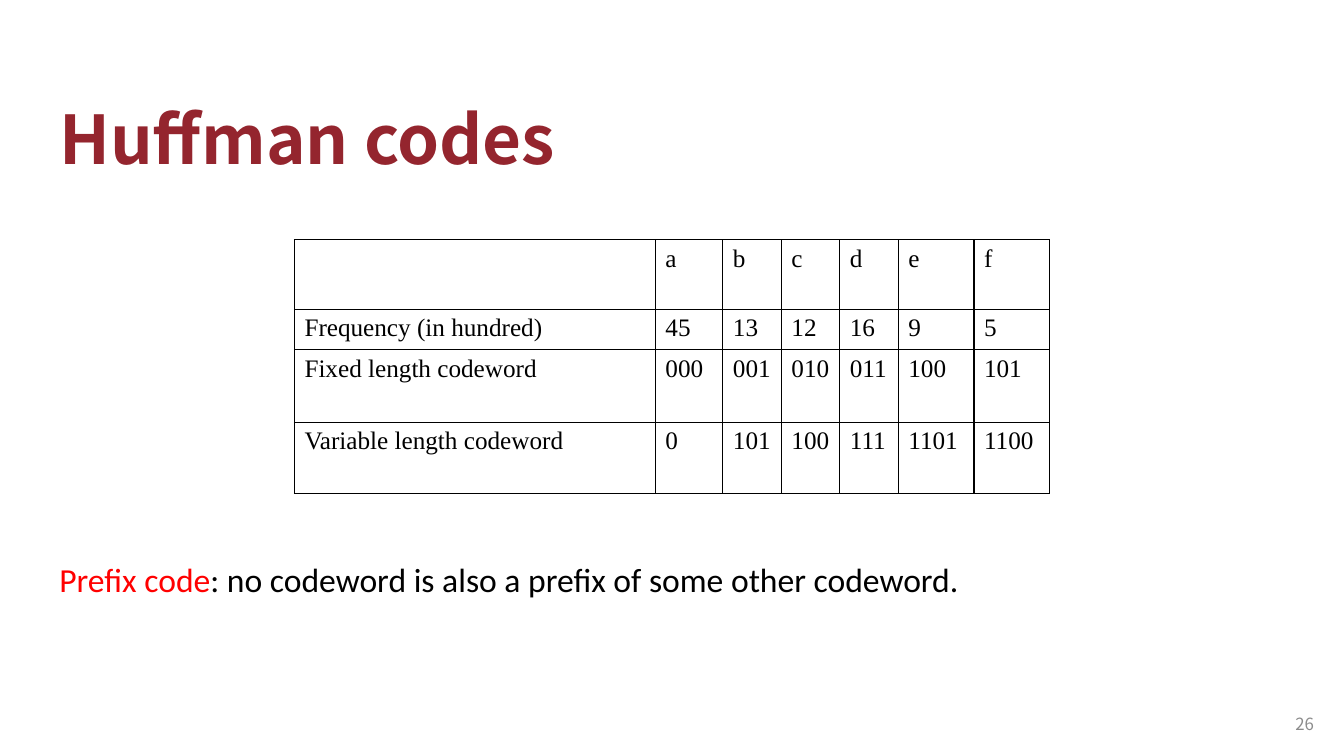
import pptx
import pptx.dml.color
import pptx.enum.text
import pptx.oxml
import pptx.oxml.ns
import pptx.util
from lxml import etree

TITLE = "Huffman codes"
CODES = [
    ("", "a", "b", "c", "d", "e", "f"),
    ("Frequency (in hundred)", "45", "13", "12", "16", "9", "5"),
    ("Fixed length codeword", "000", "001", "010", "011", "100", "101"),
    ("Variable length codeword", "0", "101", "100", "111", "1101", "1100"),
]
DEFINITION = [
    ("Prefix code", "red"),
    (": no codeword is also a prefix of some other codeword.", "black"),
]
PAGE_NUMBER = "26"

COLORS = {"maroon": "94252E", "red": "FF0000", "black": "000000", "gray": "8C8C8C"}
HEADING_FONT, BODY_FONT, TABLE_FONT = "Noto Sans CJK SC", "Calibri", "Times New Roman"
WIDTH, HEIGHT = 13.33, 7.5
LEFT = 0.49
TABLE_LEFT, TABLE_TOP = 2.92, 2.38
COLUMNS = [3.58, 0.67, 0.58, 0.58, 0.58, 0.75, 0.75]
ROWS = [0.69, 0.4, 0.72, 0.71]

ALIGN = pptx.enum.text.PP_ALIGN
ANCHOR = pptx.enum.text.MSO_ANCHOR
inches = pptx.util.Inches


def write(frame, text, font, size, color="black", bold=False, align=ALIGN.LEFT, spacing=1.0):
    """Append a formatted span to the first paragraph of a text frame."""
    para = frame.paragraphs[0]
    para.alignment = align
    para.line_spacing = spacing
    span = para.add_run()
    span.text = text
    span.font.name = font
    span.font.size = pptx.util.Pt(size)
    span.font.bold = bold
    span.font.color.rgb = pptx.dml.color.RGBColor.from_string(COLORS[color])
    properties = span.font._element
    east_asian = etree.SubElement(properties, pptx.oxml.ns.qn("a:ea"))
    east_asian.set("typeface", font)


def add_box(page, left, top, width, height, anchor=ANCHOR.MIDDLE):
    box = page.shapes.add_textbox(*map(inches, (left, top, width, height)))
    frame = box.text_frame
    frame.word_wrap = True
    frame.vertical_anchor = anchor
    return frame


def outline(cell):
    properties = cell._tc.get_or_add_tcPr()
    for position, side in enumerate(("lnL", "lnR", "lnT", "lnB")):
        border = pptx.oxml.parse_xml(
            f'<a:{side} {pptx.oxml.ns.nsdecls("a")} w="{pptx.util.Pt(1)}"><a:solidFill>'
            f'<a:srgbClr val="{COLORS["black"]}"/></a:solidFill></a:{side}>'
        )
        properties.insert(position, border)


def add_code_table(page):
    frame = page.shapes.add_table(
        len(ROWS), len(COLUMNS), inches(TABLE_LEFT), inches(TABLE_TOP),
        inches(sum(COLUMNS)), inches(sum(ROWS)),
    )
    table = frame.table
    table.first_row = table.horz_banding = False
    for column, width in zip(table.columns, COLUMNS):
        column.width = inches(width)
    for row, height, texts in zip(table.rows, ROWS, CODES):
        row.height = inches(height)
        for cell, text in zip(row.cells, texts):
            cell.fill.background()
            cell.margin_right = inches(0.05)
            outline(cell)
            if text:
                write(cell.text_frame, text, TABLE_FONT, 18)


def main():
    deck = pptx.Presentation()
    deck.slide_width, deck.slide_height = inches(WIDTH), inches(HEIGHT)
    page = deck.slides.add_slide(deck.slide_layouts[6])

    title = add_box(page, LEFT, 0.88, 8.43, 0.95, ANCHOR.BOTTOM)
    write(title, TITLE, HEADING_FONT, 48, "maroon", bold=True, spacing=0.9)
    add_code_table(page)
    definition = add_box(page, LEFT, 5.49, WIDTH - 2 * LEFT, 0.5)
    for text, color in DEFINITION:
        write(definition, text, BODY_FONT, 24, color)
    number = add_box(page, WIDTH - 0.8, 6.98, 0.6, 0.4)
    write(number, PAGE_NUMBER, HEADING_FONT, 12, "gray", align=ALIGN.RIGHT)

    deck.save("out.pptx")


if __name__ == "__main__":
    main()
